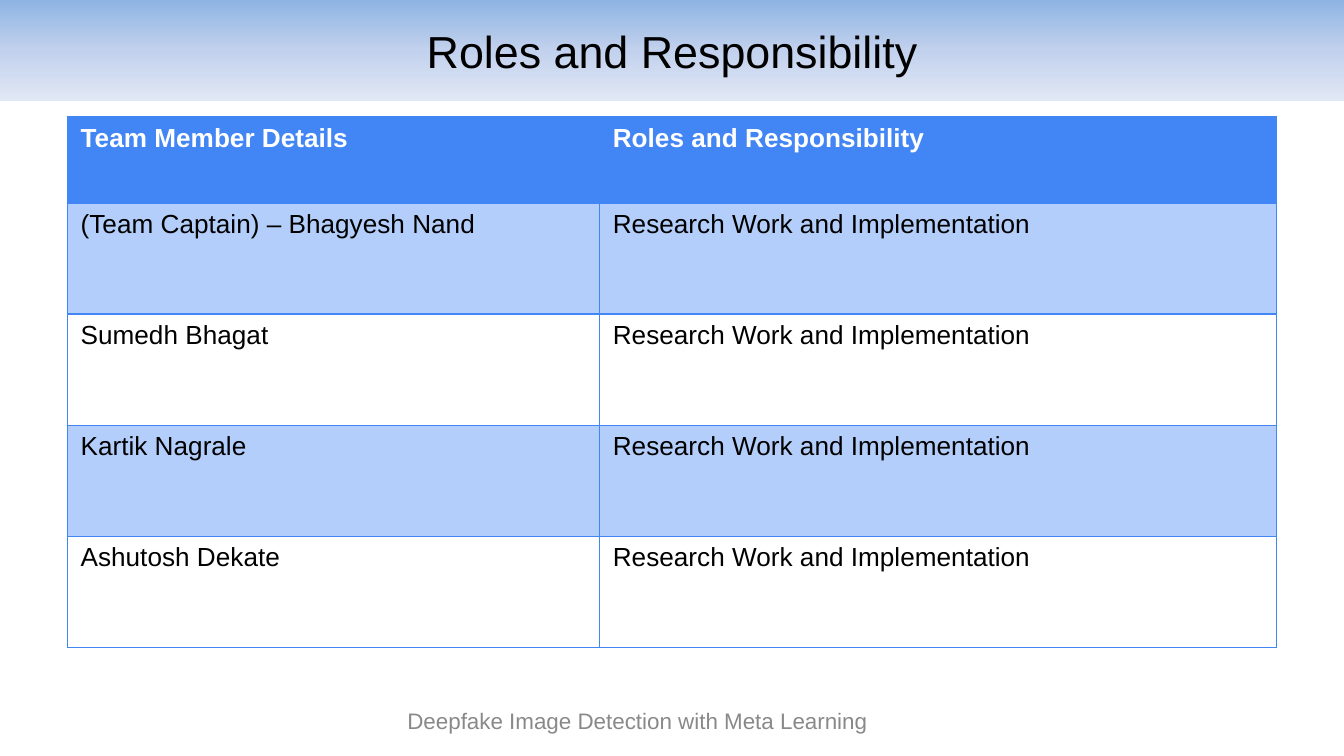
from copy import deepcopy
from dataclasses import dataclass

from lxml import etree
from pptx import Presentation
from pptx import util as u
from pptx.dml.color import RGBColor
from pptx.enum import shapes, text
from pptx.oxml.ns import qn


@dataclass(frozen=True)
class Theme:
    font: str = "Arial"
    black: str = "000000"
    white: str = "FFFFFF"
    blue: str = "4285F4"
    grey: str = "898989"
    band: tuple = ((0, "8EB4E3"), (0.5, "C2D1ED"), (1, "E1E8F5"))
    title_size: int = 24
    table_size: int = 14
    footer_size: int = 12


theme = Theme()


def write(frame, wording, size, color, bold=False, align=text.PP_ALIGN.LEFT):
    paragraph = frame.paragraphs[0]
    paragraph.alignment = align
    run = paragraph.add_run()
    run.text = wording
    formats = {"name": theme.font, "size": u.Pt(size), "bold": bold}
    for key, value in formats.items():
        setattr(run.font, key, value)
    run.font.color.rgb = RGBColor.from_string(color)


def outline(cell, color, width):
    properties = cell._tc.get_or_add_tcPr()
    for index, side in enumerate(("lnL", "lnR", "lnT", "lnB")):
        line = etree.Element(qn(f"a:{side}"), w=str(u.Pt(width)))
        solid = etree.SubElement(line, qn("a:solidFill"))
        etree.SubElement(solid, qn("a:srgbClr"), val=color)
        properties.insert(index, line)


deck = Presentation()
deck.slide_width = u.Inches(10)
deck.slide_height = deck.slide_width * 9 // 16
slide = deck.slides.add_slide(deck.slide_layouts[6])

title_band = slide.shapes.add_shape(
    shapes.MSO_SHAPE.RECTANGLE, 0, 0, deck.slide_width, u.Inches(0.75))
title_band.shadow.inherit = False
title_band.line.fill.background()
title_band.fill.gradient()
title_band.fill.gradient_angle = 270
stop_list = title_band.element.spPr.find(".//" + qn("a:gsLst"))
stop_list.append(deepcopy(stop_list[-1]))
for stop, (position, color) in zip(title_band.fill.gradient_stops, theme.band):
    stop.position = position
    stop.color.rgb = RGBColor.from_string(color)
title_band.text_frame.vertical_anchor = text.MSO_ANCHOR.MIDDLE
write(title_band.text_frame, "Roles and Responsibility", theme.title_size,
      theme.black, align=text.PP_ALIGN.CENTER)

duty = "Research Work and Implementation"
members = ["(Team Captain) – Bhagyesh Nand", "Sumedh Bhagat",
           "Kartik Nagrale", "Ashutosh Dekate"]
entries = [("Team Member Details", "Roles and Responsibility")]
entries += [(member, duty) for member in members]

table_height = u.Inches(3.95)
header_height = u.Inches(0.64)
member_height = (table_height - header_height) // len(members)
roles = slide.shapes.add_table(
    len(entries), 2, u.Inches(0.5), u.Inches(0.87), u.Inches(9), table_height).table
roles.first_row = False
roles.horz_banding = False
for column, width in zip(roles.columns, (3.96, 5.04)):
    column.width = u.Inches(width)

for row_index, entry in enumerate(entries):
    is_header = row_index == 0
    roles.rows[row_index].height = header_height if is_header else member_height
    for column_index, wording in enumerate(entry):
        cell = roles.cell(row_index, column_index)
        write(cell.text_frame, wording, theme.table_size,
              theme.white if is_header else theme.black, bold=is_header)
        if is_header or row_index % 2:
            cell.fill.solid()
            cell.fill.fore_color.rgb = RGBColor.from_string(theme.blue)
        else:
            cell.fill.background()
        if row_index % 2:
            tint = cell._tc.tcPr.find(".//" + qn("a:srgbClr"))
            etree.SubElement(tint, qn("a:alpha"), val="40000")
        outline(cell, theme.blue, 0.75)

footer = slide.shapes.add_textbox(
    u.Inches(0.82), u.Inches(5.21), u.Inches(7.85), u.Inches(0.3)).text_frame
footer.word_wrap = True
footer.vertical_anchor = text.MSO_ANCHOR.MIDDLE
write(footer, "Deepfake Image Detection with Meta Learning", theme.footer_size,
      theme.grey, align=text.PP_ALIGN.CENTER)

deck.save("out.pptx")
